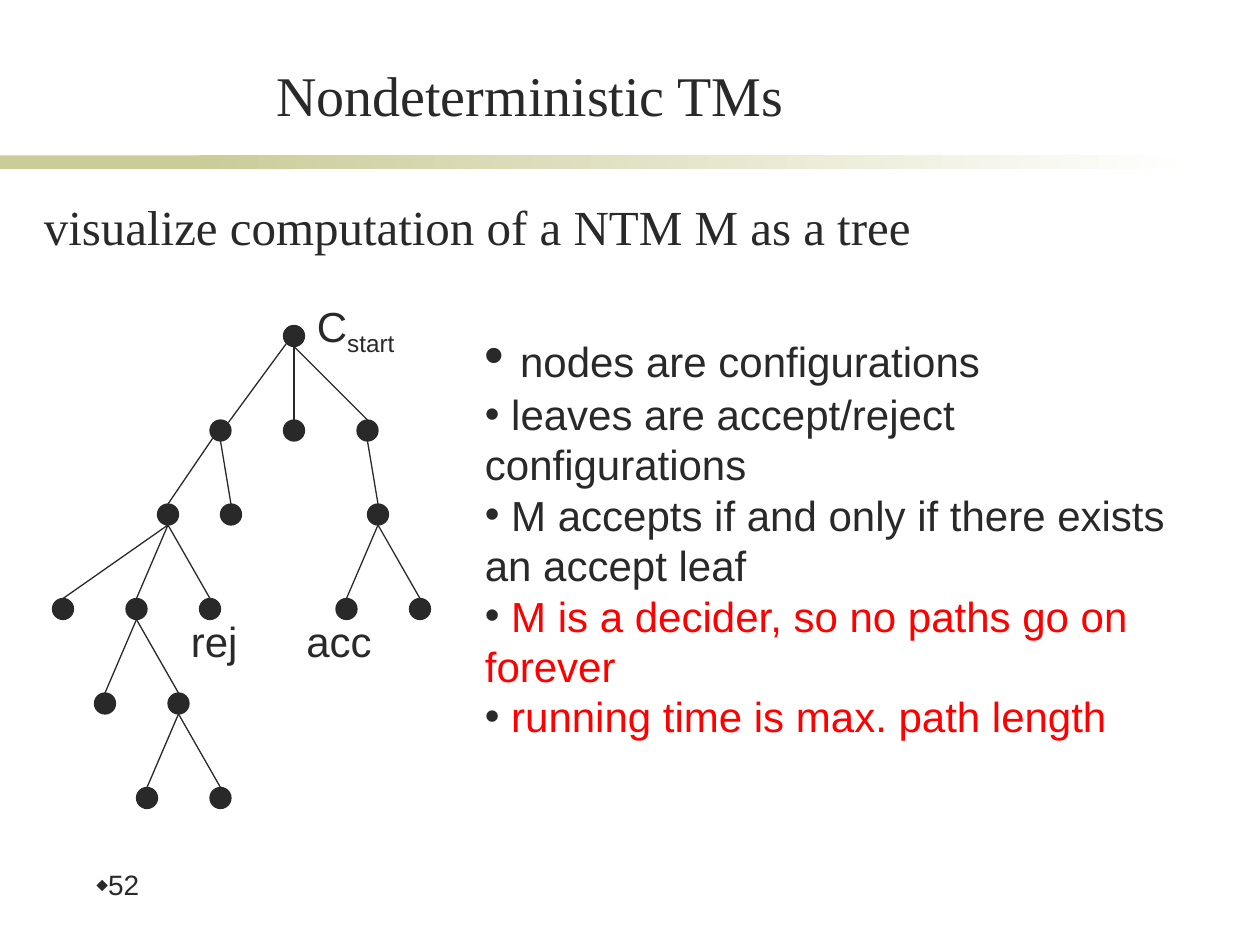
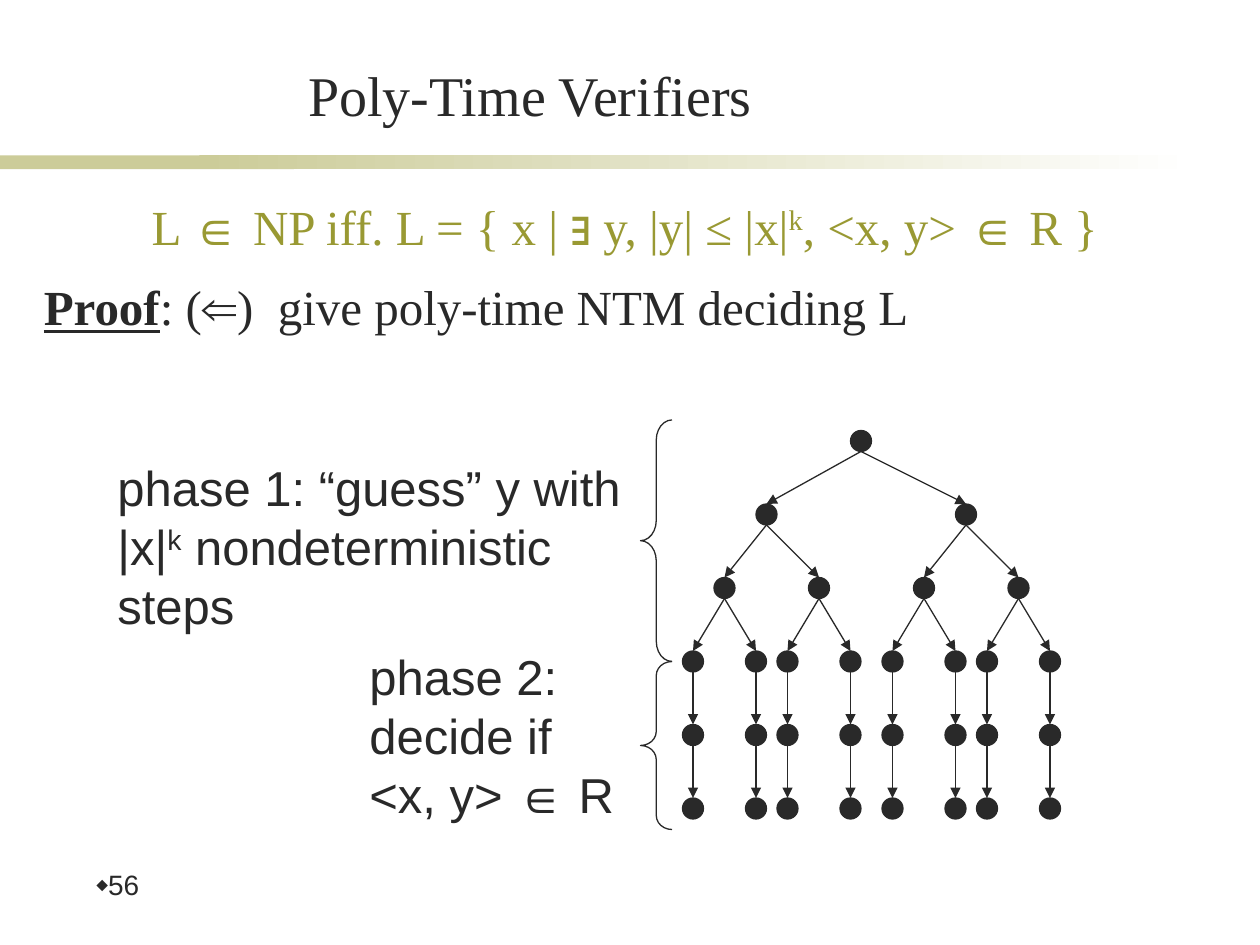
"""Build two slides about nondeterministic Turing machines and verifiers."""
from lxml.etree import SubElement
from pptx import Presentation
from pptx.dml.color import RGBColor
from pptx.enum.shapes import MSO_CONNECTOR, MSO_SHAPE
from pptx.enum.text import MSO_ANCHOR, PP_ALIGN
from pptx.oxml.ns import qn
from pptx.util import Inches, Pt

INK, OLIVE, SAND, WHITE, RED = "292929", "999933", "CCCC99", "FFFFFF", "FF0000"
SERIF, SANS = "Times New Roman", "Arial"
COLUMNS, ROWS = 120, 90
LINE_WIDTH = 0.75


def rgb(value):
    """Turn a hex string into a colour."""
    return RGBColor.from_string(value)


def span(text, **style):
    """Pair a piece of text with its own style."""
    return text, style


class Lecture:
    """Hold the deck style and the current slide, placed on a 120 by 90 grid."""

    def __init__(self):
        """Start an empty 10 by 7.5 inch deck."""
        self.deck = Presentation()
        self.deck.slide_width, self.deck.slide_height = Inches(10), Inches(7.5)
        self.slide = None

    def x(self, columns):
        """Convert grid columns to a length."""
        return round(self.deck.slide_width * columns / COLUMNS)

    def y(self, rows):
        """Convert grid rows to a length."""
        return round(self.deck.slide_height * rows / ROWS)

    def place(self, left, top, width, height):
        """Convert a grid rectangle to lengths."""
        return self.x(left), self.y(top), self.x(width), self.y(height)

    def page(self, title, number):
        """Add a slide with its band, title and number."""
        self.slide = self.deck.slides.add_slide(self.deck.slide_layouts[6])
        self.shape(MSO_SHAPE.RECTANGLE, (0, 14.8, 28, 1.3), fill=SAND)
        fade = self.shape(MSO_SHAPE.RECTANGLE, (19, 14.8, 95, 1.3), fill=SAND)
        fade.fill.gradient()
        fade.fill.gradient_angle = 0
        for stop, position, color in zip(fade.fill.gradient_stops, (0, 1), (SAND, WHITE)):
            stop.position = position
            stop.color.rgb = rgb(color)
        self.text((8, 82.4, 17, 6), [[span(number)]], size=16, bullet="⬥",
                  bullet_size=60, line_spacing=0.9)
        self.text((13.7, 5.3, 73.6, 7.5), [[span(title)]], size=32, font=SERIF,
                  align=PP_ALIGN.CENTER, anchor=MSO_ANCHOR.BOTTOM)

    def shape(self, kind, area, fill=None, line=None):
        """Add a preset shape."""
        shape = self.slide.shapes.add_shape(kind, *self.place(*area))
        shape.shadow.inherit = False
        if fill:
            shape.fill.solid()
            shape.fill.fore_color.rgb = rgb(fill)
        else:
            shape.fill.background()
        if line:
            shape.line.color.rgb = rgb(line)
            shape.line.width = Pt(LINE_WIDTH)
        else:
            shape.line.fill.background()
        return shape

    def brace(self, left, top, width, height):
        """Add a left brace whose curl follows its proportions."""
        brace = self.shape(MSO_SHAPE.LEFT_BRACE, (left, top, width, height), line=INK)
        brace.adjustments[0] = height / width / 12
        brace.adjustments[1] = 0.5

    def edge(self, start, end, arrow=False):
        """Add a straight line between two grid points."""
        line = self.slide.shapes.add_connector(
            MSO_CONNECTOR.STRAIGHT, self.x(start[0]), self.y(start[1]),
            self.x(end[0]), self.y(end[1]))
        line.line.color.rgb = rgb(INK)
        line.line.width = Pt(LINE_WIDTH)
        if arrow:
            SubElement(line.line._get_or_add_ln(), qn("a:tailEnd"), type="triangle")
        SubElement(line._element.spPr, qn("a:effectLst"))

    def tree(self, rows, levels, arrow=False, slanted=()):
        """Draw levels that map each node column to its parent column."""
        for depth, (row, level) in enumerate(zip(rows, levels)):
            for column, parent in level.items():
                self.shape(MSO_SHAPE.OVAL, (column - 1, row - 1, 2, 2), INK, INK)
                if depth == 0:
                    continue
                above = rows[depth - 1]
                if (parent, column) in slanted:
                    start = parent - 0.75, above + 0.75
                else:
                    start = parent, above + 1
                if (parent, column) in slanted[:1]:
                    end = column + 0.75, row - 0.75
                else:
                    end = column, row - 1
                self.edge(start, end, arrow)

    def text(self, area, paragraphs, size, font=SANS, color=INK, align=None,
             anchor=MSO_ANCHOR.TOP, bullet=None, bullet_size=100,
             line_spacing=None, hanging=0, gap=0):
        """Add a text box made of paragraphs of spans."""
        box = self.slide.shapes.add_textbox(*self.place(*area))
        frame = box.text_frame
        frame.word_wrap = True
        frame.vertical_anchor = anchor
        for index, spans in enumerate(paragraphs):
            para = frame.add_paragraph() if index else frame.paragraphs[0]
            if align and index == 0:
                para.alignment = align
            if line_spacing:
                para.line_spacing = line_spacing
            if gap and index:
                para.space_before = Pt(gap)
            properties = para._p.get_or_add_pPr()
            properties.set("marL", str(Inches(hanging)))
            properties.set("indent", str(-Inches(hanging)))
            if bullet:
                SubElement(properties, qn("a:buSzPct"), val=str(bullet_size * 1000))
                SubElement(properties, qn("a:buFont"), typeface=SANS)
                SubElement(properties, qn("a:buChar"), char=bullet)
            for words, style in spans:
                run = para.add_run()
                run.text = words
                run.font.name = font
                run.font.size = Pt(style.get("size", size))
                run.font.color.rgb = rgb(style.get("color", color))
                if style.get("strong"):
                    run.font.bold = run.font.underline = True
                if "baseline" in style:
                    run._r.get_or_add_rPr().set("baseline", str(style["baseline"] * 1000))

    def body(self, height, paragraphs, align=None):
        """Add the serif statement under the band."""
        self.text((3, 17, 113, height), paragraphs, size=28, font=SERIF, align=align,
                  line_spacing=1.2, hanging=0.49, gap=5.6)


def computation_tree(lecture):
    """Show a computation as a tree of configurations."""
    lecture.page("Nondeterministic TMs", "52")
    lecture.body(9, [[span("visualize computation of a NTM M as a tree")]])
    levels = [
        {28: None},
        {21: 28, 28: 28, 35: 28},
        {16: 21, 22: 21, 36: 35},
        {6: 16, 13: 16, 20: 16, 33: 36, 40: 36},
        {10: 13, 17: 13},
        {14: 17, 21: 17},
    ]
    lecture.tree((32, 41, 49, 58, 67, 76), levels, slanted=((28, 21), (21, 16)))
    labels = [
        (29, 28, [span("C"), span("start", baseline=-25)]),
        (17, 58, [span("rej")]),
        (28, 58, [span("acc")]),
    ]
    for left, top, spans in labels:
        lecture.text((left, top, 15, 6), [spans], size=24)
    facts = [
        [span(" ", size=32), span("nodes are configurations")],
        [span(" leaves are accept/reject configurations")],
        [span(" M accepts if and only if there exists an accept leaf")],
        [span(" "), span("M is a decider, so no paths go on forever", color=RED)],
        [span(" "), span("running time is max. path length", color=RED)],
    ]
    lecture.text((45, 30, 69, 50.8), facts, size=24, bullet="•")


def verifier_proof(lecture):
    """Show the two phases of the machine that decides L."""
    lecture.page("Poly-Time Verifiers", "56")
    claim = [
        span("L ∈ NP iff. L = { x | ∃ y, |y| ≤ |x|", color=OLIVE),
        span("k", color=OLIVE, baseline=30),
        span(", <x, y> ∈ R }", color=OLIVE),
    ]
    proof = [span("Proof", strong=True), span(": (⇐)  give poly-time NTM deciding L")]
    lecture.body(18.8, [claim, proof], align=PP_ALIGN.CENTER)
    guesses = {69: 73, 78: 73, 88: 92, 97: 92}
    leaves = {parent + side: parent for parent in guesses for side in (-3, 3)}
    checks = {column: column for column in leaves}
    levels = [{82: None}, {73: 82, 92: 82}, guesses, leaves, checks, checks]
    lecture.tree(range(42, 78, 7), levels, arrow=True)
    lecture.brace(61, 40, 3, 23)
    lecture.brace(61, 63, 3, 16)
    lecture.text((10, 43, 51, 18), [[span("phase 1: “guess” y with |x|"),
                                     span("k", baseline=30),
                                     span(" nondeterministic steps")]], size=28)
    lecture.text((34, 61, 27, 18), [[span("phase 2: decide if")],
                                    [span("<x, y> ∈ R")]], size=28)


def main():
    """Build both slides and save the deck."""
    lecture = Lecture()
    computation_tree(lecture)
    verifier_proof(lecture)
    lecture.deck.save("out.pptx")


if __name__ == "__main__":
    main()
